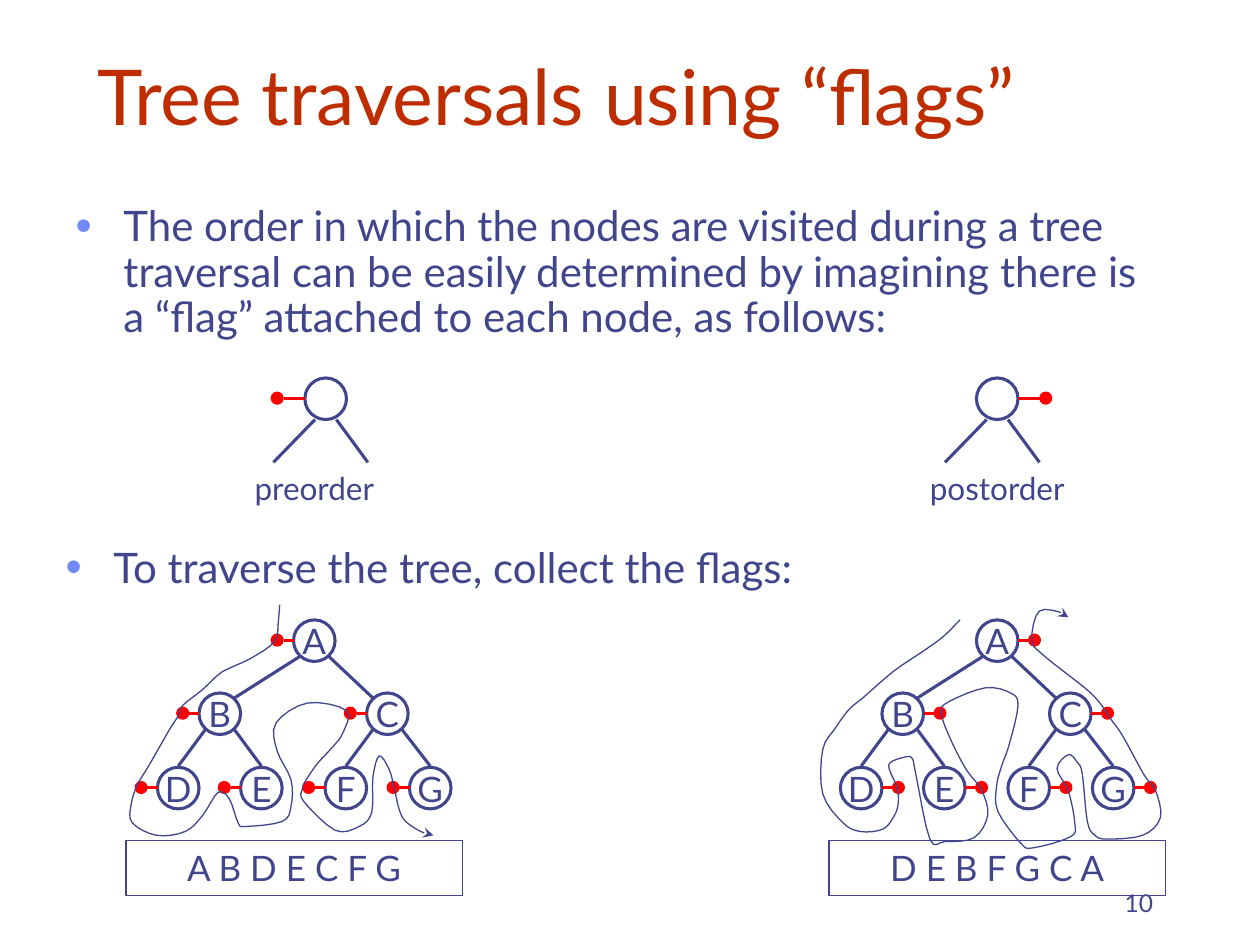
from lxml import etree
from pptx import Presentation
from pptx.dml.color import RGBColor
from pptx.enum import shapes, text
from pptx.oxml.ns import qn
from pptx.util import Inches, Pt

INDIGO = RGBColor(0x40, 0x45, 0x8C)
RUST = RGBColor(0xBE, 0x2D, 0x00)
RED = RGBColor(0xFF, 0x00, 0x00)
BULLET = RGBColor(0x6F, 0x89, 0xF7)
FONT = "Lato"
NODE = 0.33
DOT = 0.08
LEFT, CENTER, RIGHT = text.PP_ALIGN.LEFT, text.PP_ALIGN.CENTER, text.PP_ALIGN.RIGHT
TOP, MIDDLE, BOTTOM = text.MSO_ANCHOR.TOP, text.MSO_ANCHOR.MIDDLE, text.MSO_ANCHOR.BOTTOM

prs = Presentation()
prs.slide_width, prs.slide_height = Inches(10), Inches(7.5)
slide = prs.slides.add_slide(prs.slide_layouts[3])


def write(sp, words, size, align=CENTER, anchor=TOP, color=INDIGO):
    tf = sp.text_frame
    tf.text = words
    tf.word_wrap = True
    tf.auto_size = text.MSO_AUTO_SIZE.NONE
    tf.vertical_anchor = anchor
    p = tf.paragraphs[0]
    p.alignment = align
    p.space_before = Pt(0)
    p.font.size, p.font.name, p.font.color.rgb = Pt(size), FONT, color
    return p


def outline(sp, color=INDIGO, width=1.75):
    """Colour the line, and remove the theme's fill and shadow."""
    sp.line.color.rgb, sp.line.width = color, Pt(width)
    if hasattr(sp, "fill"):
        sp.fill.background()
    etree.SubElement(sp._element.spPr, qn("a:effectLst"))


# Title and bullets
title, *bodies = slide.placeholders
title.left, title.top, title.width, title.height = map(Inches, (0.67, -0.08, 8.5, 1.25))
write(title, "Tree traversals using “flags”", 44, LEFT, BOTTOM, RUST)
BODIES = [
    ((0.5, 1.58, 8.67, 1.08), 0.9,
     "The order in which the nodes are visited during a tree traversal can be easily "
     "determined by imagining there is a “flag” attached to each node, as follows:"),
    ((0.42, 4.25, 7.78, 0.5), 1.0, "To traverse the tree, collect the flags:"),
]
for sp, (box, spacing, words) in zip(bodies, BODIES):
    sp.left, sp.top, sp.width, sp.height = map(Inches, box)
    p = write(sp, words, 24, LEFT)
    p.line_spacing = spacing
    pPr = p._p.get_or_add_pPr()
    pPr.set("marL", str(Inches(0.38)))
    pPr.set("indent", str(-Inches(0.38)))
    bullet = [etree.Element(qn("a:buClr")), etree.Element(qn("a:buSzPct"), val="110000"),
              etree.Element(qn("a:buFont"), typeface="Arial"),
              etree.Element(qn("a:buChar"), char="•")]
    etree.SubElement(bullet[0], qn("a:srgbClr"), val=str(BULLET))
    for element in bullet:
        pPr.find(qn("a:defRPr")).addprevious(element)

# Everything that differs between the two traversals; side is where the flag hangs
TRAVERSALS = [
    dict(name="preorder", side=-1, key_x=2.42, caption_x=1.83, root_x=2.33,
         box_x=1, order="A B D E C F G"),
    dict(name="postorder", side=1, key_x=7.75, caption_x=7.25, root_x=7.75,
         box_x=6.58, order="D E B F G C A"),
]
# Node offsets from the root, then edges from parent to child
NODES = {"A": (0, 0), "B": (-0.75, 0.58), "C": (0.58, 0.58), "D": (-1.08, 1.17),
         "E": (-0.42, 1.17), "F": (0.25, 1.17), "G": (0.92, 1.17)}
EDGES = ["AB", "AC", "BD", "BE", "CF", "CG"]
ROUTES = {
    "preorder": [
        (2.22, 4.8), (2.21, 4.92), (2.18, 5.09), (2, 5.22), (1.83, 5.3), (1.74, 5.35),
        (1.6, 5.48), (1.45, 5.6), (1.41, 5.69), (1.34, 5.8), (1.18, 6.08), (1.09, 6.23),
        (1.04, 6.39), (1.05, 6.53), (1.24, 6.63), (1.47, 6.6), (1.61, 6.47), (1.73, 6.29),
        (1.82, 6.34), (1.89, 6.53), (1.95, 6.56), (2.24, 6.52), (2.31, 6.4), (2.31, 6.19),
        (2.2, 5.96), (2.19, 5.74), (2.44, 5.58), (2.75, 5.64), (2.72, 5.82), (2.63, 5.94),
        (2.52, 6.06), (2.43, 6.19), (2.4, 6.26), (2.41, 6.36), (2.66, 6.59), (2.85, 6.56),
        (2.95, 6.45), (2.96, 6.17), (3.01, 6), (3.09, 6.11), (3.13, 6.26), (3.17, 6.43),
        (3.22, 6.52), (3.34, 6.6), (3.44, 6.63)],
    "postorder": [
        (7.62, 4.92), (7.49, 5.05), (7.34, 5.16), (7.09, 5.33), (6.86, 5.53), (6.74, 5.63),
        (6.63, 5.78), (6.53, 5.95), (6.53, 6.3), (6.69, 6.53), (6.83, 6.6), (7.01, 6.58),
        (7.1, 6.47), (7.13, 6.37), (7.12, 6.25), (7.06, 6.11), (7.07, 6.05), (7.18, 6.01),
        (7.24, 6.02), (7.27, 6.15), (7.38, 6.66), (7.5, 6.68), (7.73, 6.65), (7.84, 6.47),
        (7.79, 6.27), (7.67, 6.11), (7.55, 5.88), (7.47, 5.66), (7.53, 5.57), (7.82, 5.46),
        (8.02, 5.5), (8.08, 5.6), (8.01, 5.91), (7.95, 6.08), (7.91, 6.24), (7.92, 6.44),
        (8.1, 6.69), (8.2, 6.73), (8.5, 6.64), (8.53, 6.53), (8.48, 6.28), (8.39, 6.1),
        (8.48, 5.99), (8.55, 6.05), (8.59, 6.14), (8.63, 6.52), (8.69, 6.63), (8.79, 6.66),
        (9.07, 6.63), (9.21, 6.49), (9.17, 6.27), (9.08, 6.15), (8.91, 5.84), (8.81, 5.7),
        (8.73, 5.58), (8.61, 5.46), (8.28, 5.2), (8.19, 5.08), (8.25, 4.85), (8.45, 4.87),
        (8.48, 4.9)],
}
STEPS = 4

for t in TRAVERSALS:
    side = t["side"]
    key_x, root_x, root_y = t["key_x"], t["root_x"], 4.92
    at = {n: (root_x + dx, root_y + dy) for n, (dx, dy) in NODES.items()}
    # Circles: label, left, top, length of the flag's stem
    circles = [("", key_x, 3, 0.17)] + [(n, x, y, 0.08) for n, (x, y) in at.items()]
    lines = [(key_x + 0.08, 3.33, key_x - 0.25, 3.67, INDIGO),
             (key_x + 0.25, 3.33, key_x + 0.5, 3.67, INDIGO)]
    for parent, child in EDGES:
        (px, py), (cx, cy) = at[parent], at[child]
        goes_left = cx < px
        if parent == "A":
            end_x, end_y = cx + (0.28 if goes_left else 0.05), cy + 0.04
        else:
            end_x, end_y = cx + NODE / 2, cy - 0.01
        lines.append((px + (0.05 if goes_left else 0.28), py + 0.29, end_x, end_y, INDIGO))

    for label, x, y, stem in circles:
        sp = slide.shapes.add_shape(shapes.MSO_SHAPE.OVAL, *map(Inches, (x, y, NODE, NODE)))
        outline(sp)
        if label:
            write(sp, label, 20, anchor=MIDDLE)
            tf = sp.text_frame
            tf.word_wrap = False
            tf.margin_left = tf.margin_right = tf.margin_top = tf.margin_bottom = 0
        rim = x if side < 0 else x + NODE
        tip = rim + side * stem
        lines.append((rim, y + 0.16, tip, y + 0.16, RED))
        dot_x = tip + side * 0.01 - (DOT if side < 0 else 0)
        dot = slide.shapes.add_shape(shapes.MSO_SHAPE.FLOWCHART_CONNECTOR,
                                     *map(Inches, (dot_x, y + 0.12, DOT, DOT)))
        outline(dot, RED)
        dot.fill.solid()
        dot.fill.fore_color.rgb = RED

    for *ends, color in lines:
        outline(slide.shapes.add_connector(shapes.MSO_CONNECTOR.STRAIGHT,
                                           *map(Inches, ends)), color)

    caption = slide.shapes.add_textbox(*map(Inches, (t["caption_x"], 3.67, 1.33, 0.4)))
    write(caption, t["name"], 18)

    # Smooth route around the tree: a Catmull-Rom spline through its points
    route = ROUTES[t["name"]]
    padded = [route[0], *route, route[-1]]
    smooth = []
    for a, b, c, d in zip(padded, padded[1:], padded[2:], padded[3:]):
        for s in (i / STEPS for i in range(1, STEPS + 1)):
            smooth.append(tuple(
                Inches(q + s / 2 * (r - o + s * (2 * o - 5 * q + 4 * r - e
                                                 + s * (3 * q - 3 * r + e - o))))
                for o, q, r, e in zip(a, b, c, d)))
    builder = slide.shapes.build_freeform(*map(Inches, route[0]))
    builder.add_line_segments(smooth, close=False)
    sp = builder.convert_to_shape()
    outline(sp, width=0.75)
    etree.SubElement(sp._element.spPr.find(qn("a:ln")), qn("a:tailEnd"), type="stealth")

    box = slide.shapes.add_shape(shapes.MSO_SHAPE.RECTANGLE,
                                 *map(Inches, (t["box_x"], 6.67, 2.67, 0.44)))
    outline(box, width=0.75)
    write(box, t["order"], 20)

number = slide.shapes.add_textbox(*map(Inches, (7.17, 6.83, 2.08, 0.5)))
write(number, "10", 14, RIGHT, BOTTOM)

prs.save("out.pptx")
